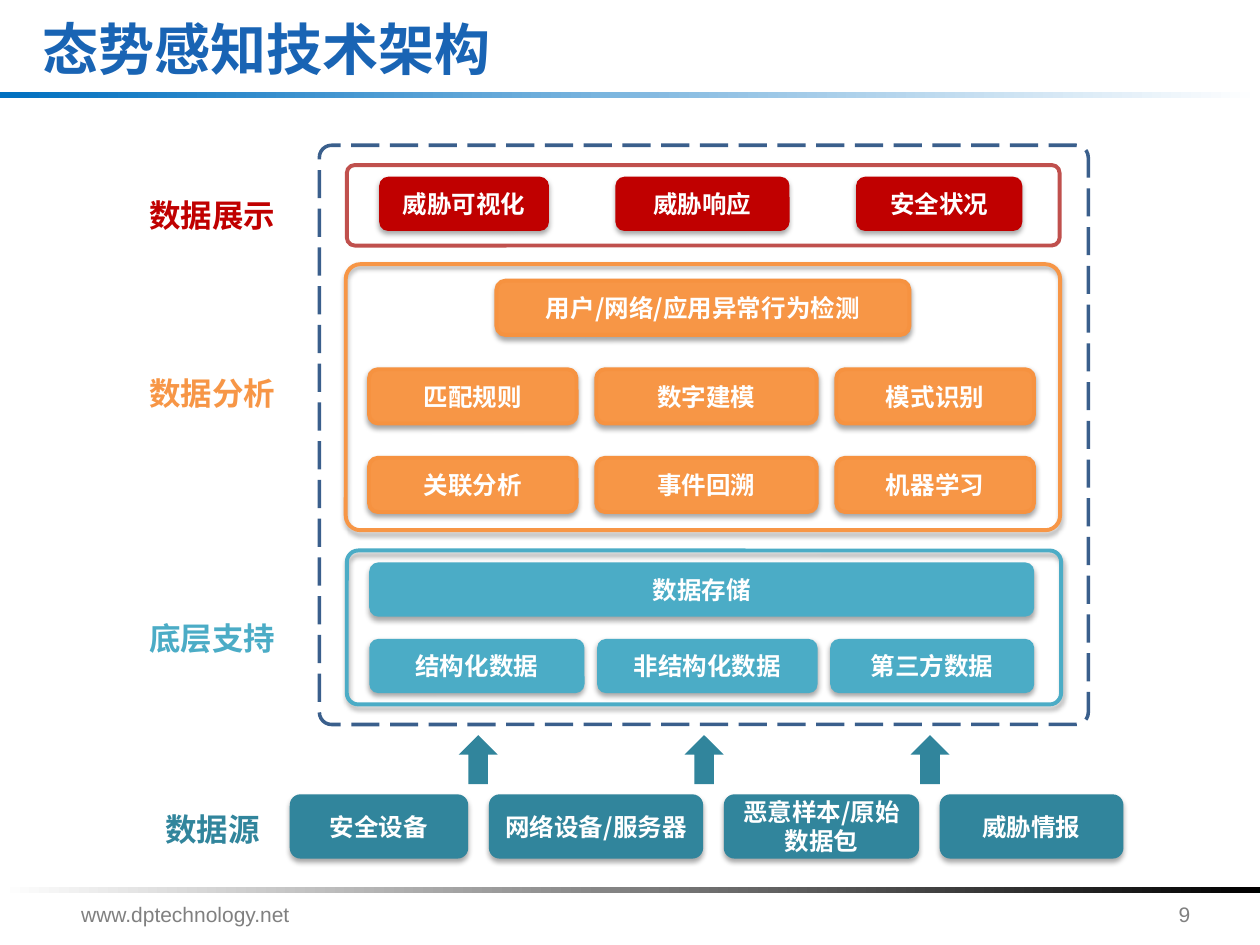
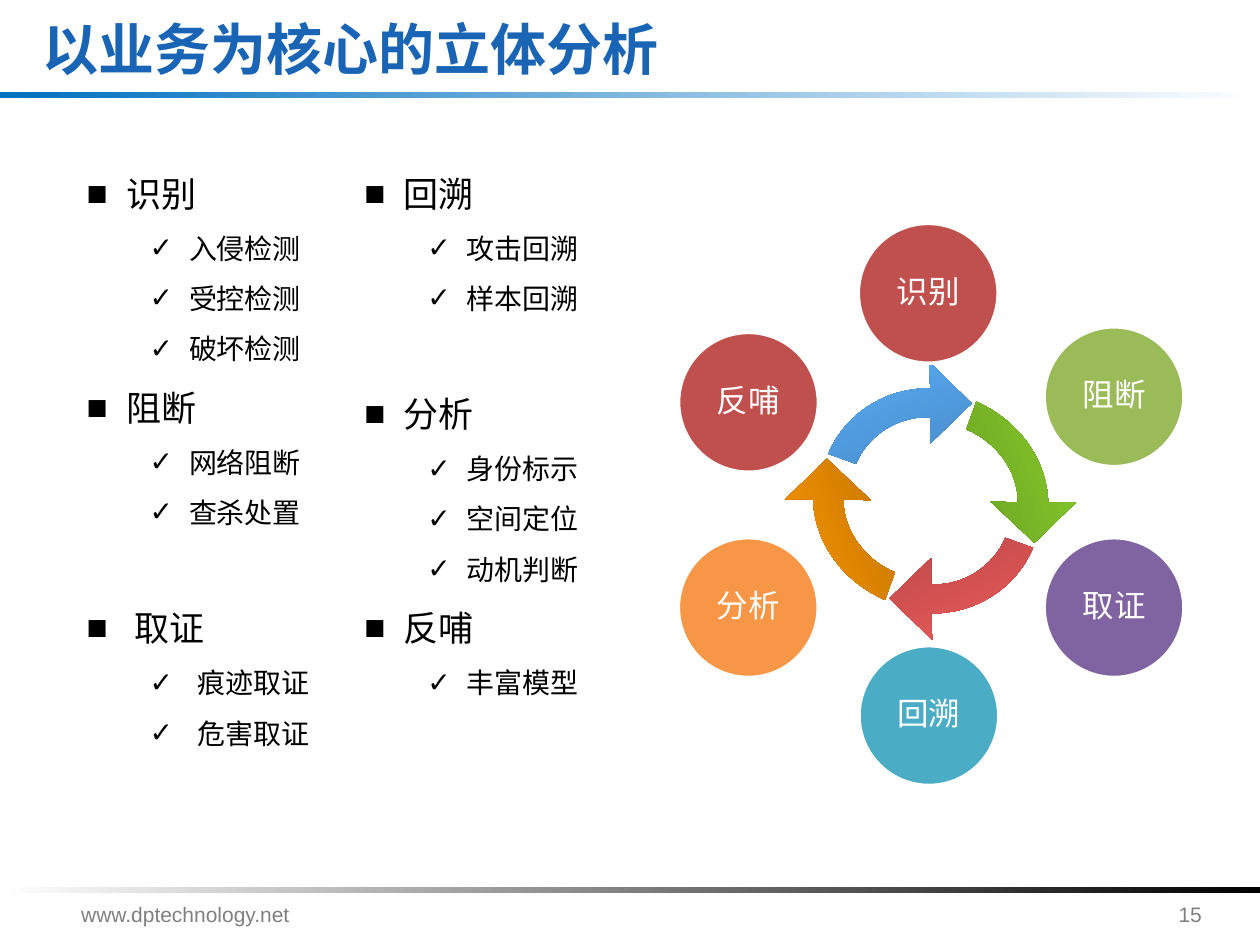
import math

import pptx
import pptx.dml.color
import pptx.enum.dml
import pptx.enum.shapes
import pptx.enum.text
import pptx.oxml
import pptx.oxml.ns
import pptx.util

Pt = pptx.util.Pt
qn = pptx.oxml.ns.qn
SHAPE = pptx.enum.shapes.MSO_SHAPE
ALIGN = pptx.enum.text.PP_ALIGN
ANCHOR = pptx.enum.text.MSO_ANCHOR
DRAWING_NS = pptx.oxml.ns.nsdecls("a")

CJK = "Noto Sans CJK SC"
WHITE, BLACK, GREY = "FFFFFF", "000000", "808080"
BLUE, FRAME_BLUE, TITLE_BLUE = "0070C0", "3A5F8C", "1964B4"
RED, DARK_RED, ORANGE = "C0504D", "C00000", "F79646"
AQUA, TEAL, PURPLE, GREEN = "4BACC6", "31859C", "8064A2", "9BBB59"

FONTS = {
    "title": {"size": Pt(32), "bold": True, "name": CJK},
    "footer": {"size": Pt(12), "bold": False, "name": "Arial"},
    "label": {"size": Pt(18), "bold": True, "name": CJK},
    "block": {"size": Pt(14), "bold": True, "name": CJK},
    "circle": {"size": Pt(18), "bold": False, "name": CJK},
    "topic": {"size": Pt(20), "bold": False, "name": CJK},
    "detail": {"size": Pt(16), "bold": False, "name": CJK},
}


def rgb(value):
    return pptx.dml.color.RGBColor.from_string(value)


def set_all(target, values):
    for name, value in values.items():
        setattr(target, name, value)


def write(paragraph, text, style, color):
    run = paragraph.add_run()
    run.text = text
    set_all(run.font, FONTS[style])
    run.font.color.rgb = rgb(color)
    run.font._element.append(pptx.oxml.parse_xml(
        f'<a:ea {DRAWING_NS} typeface="{FONTS[style]["name"]}"/>'))


def add_text(slide, box, text, style, color, **frame_values):
    shape = slide.shapes.add_textbox(*map(Pt, box))
    set_all(shape.text_frame, {"word_wrap": True, **frame_values})
    write(shape.text_frame.paragraphs[0], text, style, color)


def add_shape(slide, kind, box, fill=None, line=None, width=2.25, shadow=False):
    shape = slide.shapes.add_shape(kind, *map(Pt, box))
    shape.shadow.inherit = False
    if fill:
        shape.fill.solid()
        shape.fill.fore_color.rgb = rgb(fill)
    else:
        shape.fill.background()
    if line:
        shape.line.color.rgb = rgb(line)
        shape.line.width = Pt(width)
    else:
        shape.line.fill.background()
    if shadow:
        effects = shape._element.spPr.find(qn("a:effectLst"))
        effects.append(pptx.oxml.parse_xml(
            f'<a:outerShdw {DRAWING_NS} blurRad="{Pt(3.1)}" dist="{Pt(1.8)}" '
            'dir="5400000" rotWithShape="0"><a:srgbClr val="000000">'
            '<a:alpha val="35000"/></a:srgbClr></a:outerShdw>'))
    return shape


def write_centred(shape, text, style, **frame_values):
    set_all(shape.text_frame, {"word_wrap": True, "vertical_anchor": ANCHOR.MIDDLE,
                               **frame_values})
    paragraph = shape.text_frame.paragraphs[0]
    paragraph.alignment = ALIGN.CENTER
    write(paragraph, text, style, WHITE)
    return paragraph


def set_gradient(shape, start, end, angle=0):
    """Blend two colours; the angle runs counter-clockwise."""
    shape.fill.gradient()
    shape.fill.gradient_angle = angle
    for stop, color in zip(shape.fill.gradient_stops, (start, end)):
        stop.color.rgb = rgb(color)


def add_base_slide(presentation, title, number):
    """Blank slide with title, gradient bands and footer."""
    slide = presentation.slides.add_slide(presentation.slide_layouts[6])
    for top, start, end in ((52.6, BLUE, WHITE), (506.9, WHITE, BLACK)):
        band = add_shape(slide, SHAPE.RECTANGLE, (0, top, 720, 3.6), WHITE)
        set_gradient(band, start, end)
    add_text(slide, (666.4, 511.6, 42.5, 28), number, "footer", GREY)
    add_text(slide, (39.3, 511.6, 140.4, 28), "www.dptechnology.net", "footer", GREY)
    add_text(slide, (17, 11.5, 416, 31.7), title, "title", TITLE_BLUE,
             vertical_anchor=ANCHOR.MIDDLE)
    return slide


def add_row(slide, left, top, height, gap, color, blocks, line=None):
    """Place (text, width) blocks side by side with equal gaps."""
    for text, width in blocks:
        block = add_shape(slide, SHAPE.ROUNDED_RECTANGLE, (left, top, width, height),
                          color, line, shadow=True)
        write_centred(block, text, "block")
        left += width + gap


def add_frame(slide, box, corner, color, **look):
    frame = add_shape(slide, SHAPE.ROUNDED_RECTANGLE, box, line=color, **look)
    frame.adjustments[0] = corner
    return frame


def add_label(slide, left, top, width, text, color):
    add_text(slide, (left, top, width, 28.8), text, "label", color, word_wrap=False,
             auto_size=pptx.enum.text.MSO_AUTO_SIZE.SHAPE_TO_FIT_TEXT)


def add_display_tier(slide, box):
    left, top = box[:2]
    add_frame(slide, box, 0.098, RED)
    add_label(slide, 78.3, top + 14.4, 87.1, "数据展示", DARK_RED)
    add_row(slide, left + 18.5, top + 6.7, 31, 38, DARK_RED,
            [("威胁可视化", 97), ("威胁响应", 99.5), ("安全状况", 95)])


def add_analysis_tier(slide, box):
    left, top = box[:2]
    add_frame(slide, box, 0.055, ORANGE, shadow=True)
    add_label(slide, 78.3, top + 59, 87.1, "数据分析", ORANGE)
    widths = (118.6, 126, 113)
    rows = [
        (86.1, [("用户/网络/应用异常行为检测", 236)]),
        (13.3, zip(("匹配规则", "数字建模", "模式识别"), widths)),
        (13.3, zip(("关联分析", "事件回溯", "机器学习"), widths)),
    ]
    for index, (indent, blocks) in enumerate(rows):
        add_row(slide, left + indent, top + 9.4 + 50.6 * index, 31, 11.2,
                ORANGE, blocks, line="F69240")


def add_support_tier(slide, box):
    left, top = box[:2]
    add_frame(slide, box, 0.075, AQUA, shadow=True)
    add_label(slide, 78.3, top + 35.5, 87.1, "底层支持", AQUA)
    rows = [
        [("数据存储", 380)],
        [("结构化数据", 123), ("非结构化数据", 126), ("第三方数据", 116.6)],
    ]
    for index, blocks in enumerate(rows):
        add_row(slide, left + 12.8, top + 6.8 + 43.7 * index, 31, 7.2, AQUA, blocks)


def add_sources(slide, left, top):
    add_label(slide, 87.3, top + 39.6, 69.1, "数据源", TEAL)
    for index in range(3):
        add_shape(slide, SHAPE.UP_ARROW,
                  (left + 96.5 + 129.1 * index, top + 0.2, 22.3, 28), TEAL)
    add_row(slide, left, top + 34, 36.7, 11.8, TEAL,
            [("安全设备", 102), ("网络设备/服务器", 122.4),
             ("恶意样本/原始数据包", 111.6), ("威胁情报", 105)])


def add_architecture_slide(presentation):
    slide = add_base_slide(presentation, "态势感知技术架构", "9")
    outer = add_frame(slide, (182.5, 83, 439.4, 331), 0.021, FRAME_BLUE, width=2)
    outer.line.dash_style = pptx.enum.dml.MSO_LINE.LONG_DASH
    add_display_tier(slide, (198.2, 94.3, 407.3, 46))
    add_analysis_tier(slide, (197.6, 151, 408.2, 152))
    add_support_tier(slide, (198.2, 314.6, 408.2, 88))
    add_sources(slide, 165.6, 419.9)


def add_bullet(paragraph, symbol, margin, hanging):
    properties = paragraph._p.get_or_add_pPr()
    properties.set("marL", str(Pt(margin)))
    properties.set("indent", str(Pt(-hanging)))
    for xml in ('buFont {} typeface="Arial"', f'buChar {{}} char="{symbol}"'):
        properties.append(pptx.oxml.parse_xml(f"<a:{xml.format(DRAWING_NS)}/>"))


def add_topic_column(slide, box, topics):
    """Each topic is (space before, hanging indent, name, details)."""
    frame = slide.shapes.add_textbox(*map(Pt, box)).text_frame
    frame.word_wrap = True
    paragraph = frame.paragraphs[0]
    for space, hanging, topic, details in topics:
        lines = [("■", 0, "topic", topic)]
        lines += [("✓", 36, "detail", detail) for detail in details]
        for symbol, indent, style, text in lines:
            if paragraph.runs:
                paragraph = frame.add_paragraph()
            add_bullet(paragraph, symbol, indent + hanging, hanging)
            paragraph.line_spacing = 1.5
            if space and style == "topic":
                paragraph.space_before = Pt(space)
            write(paragraph, text, style, BLACK)


def round_off(arrow, curve_starts):
    """Turn each run of three straight segments into one cubic curve."""
    outline = arrow._element.find(".//" + qn("a:path"))
    segments = list(outline)
    for start in curve_starts:
        curve = pptx.oxml.parse_xml(f"<a:cubicBezTo {DRAWING_NS}/>")
        segments[start].addprevious(curve)
        for segment in segments[start:start + 3]:
            curve.append(segment[0])
            outline.remove(segment)


def place_in_box(arrow, box):
    """Widen the shape to the box while its outline stays in place."""
    left, top, width, height = map(Pt, box)
    outline = arrow._element.find(".//" + qn("a:path"))
    for point in outline.iter(qn("a:pt")):
        point.set("x", str(int(point.get("x")) + arrow.left - left))
        point.set("y", str(int(point.get("y")) + arrow.top - top))
    outline.set("w", str(width))
    outline.set("h", str(height))
    set_all(arrow, {"left": left, "top": top, "width": width, "height": height})


def add_cycle_arrows(slide, centre_x, centre_y):
    lower = ((0.2, 47.8), (18.9, 48.5), (35.5, 37.7), (42.7, 21.2),
             (58.5, 26.9), (48.5, 50), (26.1, 64.4), (0.2, 64.4),
             (0.9, 79.5), (-23.5, 55.7), (0.2, 32.7))
    right = ((49.9, 1), (49.9, -17), (37.7, -33.6), (20.4, -40.8),
             (26.1, -56.6), (50.6, -45.8), (66.5, -23.5), (67.2, 1),
             (83, 1), (59.3, 24), (34.1, 0.3))
    lower_box, right_box = (-0.7, 2.9, 122.4, 127.4), (3.6, -1, 128.9, 121)
    arrows = [
        (lower, lower_box, 1, 112.9, "7A2F2F", "F45E5E"),
        (right, right_box, -1, 202.9, "804D00", "FF9900"),
        (lower, lower_box, -1, 292.9, "315E87", "5CB1FE"),
        (right, right_box, 1, 22.9, "466A17", "8CD32D"),
    ]
    for outline, (shift_x, shift_y, width, height), side, turn, dark, light in arrows:
        middle_x, middle_y = centre_x + side * shift_x, centre_y + side * shift_y
        cosine, sine = math.cos(math.radians(turn)), math.sin(math.radians(turn))
        points = []
        for x, y in outline:
            x, y = side * (x - shift_x), side * (y - shift_y)
            points.append((Pt(middle_x + x * cosine + y * sine),
                           Pt(middle_y - x * sine + y * cosine)))
        builder = slide.shapes.build_freeform(*points[0], scale=1.0)
        builder.add_line_segments(points[1:], close=True)
        arrow = builder.convert_to_shape()
        round_off(arrow, (1, 5))
        place_in_box(arrow, (middle_x - width / 2, middle_y - height / 2, width, height))
        arrow.rotation = turn
        arrow.shadow.inherit = False
        arrow.line.fill.background()
        set_gradient(arrow, dark, light, 45)


def add_cycle_circles(slide, centre_x, centre_y):
    diameter = 79.9
    insets = {f"margin_{side}": Pt(2) for side in ("left", "right", "top", "bottom")}
    circles = [
        ("识别", RED, -1.4, -118.6), ("阻断", GREEN, 104.8, -59.5),
        ("取证", PURPLE, 104.8, 61), ("回溯", AQUA, -1, 122.7),
        ("分析", ORANGE, -104.2, 61), ("反哺", RED, -104.1, -56.3),
    ]
    for text, color, x, y in circles:
        box = (centre_x + x - diameter / 2, centre_y + y - diameter / 2,
               diameter, diameter)
        circle = add_shape(slide, SHAPE.OVAL, box, color, WHITE, 2)
        write_centred(circle, text, "circle", **insets).line_spacing = 0.9


def add_analysis_slide(presentation):
    slide = add_base_slide(presentation, "以业务为核心的立体分析", "15")
    add_topic_column(slide, (42.5, 82.9, 158.4, 392.4), [
        (0, 22.5, "识别", ("入侵检测", "受控检测", "破坏检测")),
        (0, 22.5, "阻断", ("网络阻断", "查杀处置")),
        (32.5, 27.2, "取证", ("痕迹取证", "危害取证"))])
    add_topic_column(slide, (201.2, 82.9, 162.7, 330.5), [
        (0, 22.5, "回溯", ("攻击回溯", "样本回溯")),
        (32.5, 22.5, "分析", ("身份标示", "空间定位", "动机判断")),
        (0, 22.5, "反哺", ("丰富模型",))])
    add_cycle_arrows(slide, 531.8, 286.2)
    add_cycle_circles(slide, 531.8, 286.2)


def main():
    presentation = pptx.Presentation()
    set_all(presentation, {"slide_width": Pt(720), "slide_height": Pt(540)})
    add_architecture_slide(presentation)
    add_analysis_slide(presentation)
    presentation.save("out.pptx")


if __name__ == "__main__":
    main()
